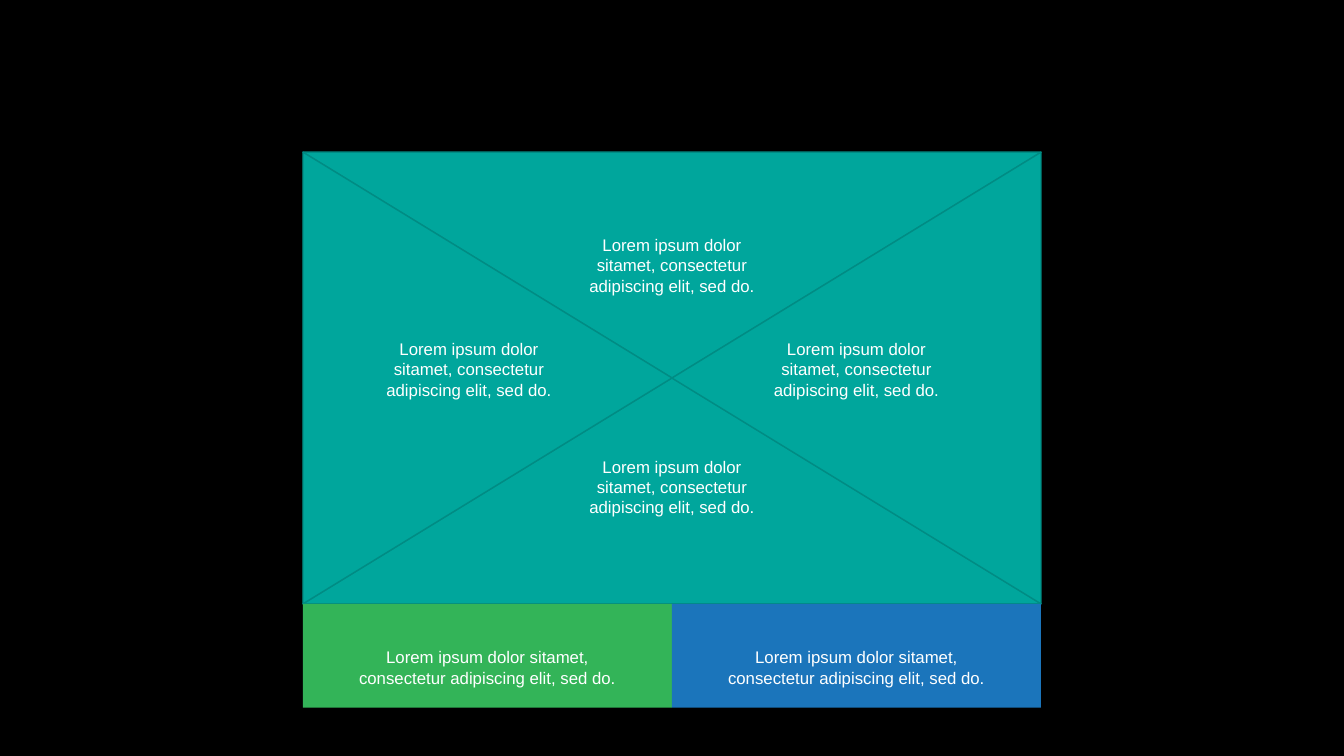
from pptx import Presentation
from pptx.dml.color import RGBColor
from pptx.enum.shapes import MSO_SHAPE
from pptx.enum.text import MSO_AUTO_SIZE, PP_ALIGN
from pptx.util import Inches, Pt

COLORS = {
    "background": "000000",
    "envelope": "00A69C",
    "fold": "008C84",
    "green": "33B458",
    "blue": "1B75BB",
    "text": "FFFFFF",
}
LOREM = "Lorem ipsum dolor sitamet, consectetur adipiscing elit, sed do."

# The envelope is two columns by two rows around the slide's centre.
COLUMN, ROW = 3.66, 2.24
SLIDE_WIDTH, SLIDE_HEIGHT = 13.33, 7.5

# Direction from the centre as (columns, rows), and turn in degrees
FLAPS = [((0, 0.5), 0), ((0, -0.5), 180), ((0.5, 0), 270), ((-0.5, 0), 90)]
FLAP_LABELS = [(0, -0.51), (0, 0.47), (0.5, -0.05), (-0.55, -0.05)]
BARS = [(-0.5, "green"), (0.5, "blue")]


class EnvelopeSlide:
    """Places elements by their centre, in columns and rows from mid-slide."""

    def __init__(self, deck):
        self.page = deck.slides.add_slide(deck.slide_layouts[6])
        self.font, self.size = "Arial", Pt(12)
        backdrop = self.page.background.fill
        backdrop.solid()
        backdrop.fore_color.rgb = self.color("background")

    def color(self, name):
        return RGBColor.from_string(COLORS[name])

    def frame(self, center, width, height):
        """Turn a centre in grid units and a size in inches into a box."""
        column, row = center
        left = SLIDE_WIDTH / 2 + column * COLUMN - width / 2
        top = SLIDE_HEIGHT / 2 + row * ROW - height / 2
        return [Inches(length) for length in (left, top, width, height)]

    def shape(self, kind, frame, fill):
        shape = self.page.shapes.add_shape(kind, *frame)
        shape.shadow.inherit = False
        shape.fill.solid()
        shape.fill.fore_color.rgb = self.color(fill)
        shape.line.fill.background()
        return shape

    def flap(self, center, turn):
        size = (2 * COLUMN, ROW) if turn % 180 == 0 else (2 * ROW, COLUMN)
        flap = self.shape(MSO_SHAPE.ISOSCELES_TRIANGLE, self.frame(center, *size), "envelope")
        flap.rotation = turn
        flap.line.color.rgb = self.color("fold")
        flap.line.width = Pt(1)

    def bar(self, column, fill):
        self.shape(MSO_SHAPE.RECTANGLE, self.frame((column, 1.23), COLUMN, 0.46 * ROW), fill)

    def label(self, center, columns, rows):
        box = self.page.shapes.add_textbox(*self.frame(center, columns * COLUMN, rows * ROW))
        box.text_frame.word_wrap = True
        box.text_frame.auto_size = MSO_AUTO_SIZE.SHAPE_TO_FIT_TEXT
        para = box.text_frame.paragraphs[0]
        para.alignment = PP_ALIGN.CENTER
        span = para.add_run()
        span.text = LOREM
        span.font.name, span.font.size = self.font, self.size
        span.font.color.rgb = self.color("text")


def main():
    deck = Presentation()
    deck.slide_width, deck.slide_height = Inches(SLIDE_WIDTH), Inches(SLIDE_HEIGHT)
    slide = EnvelopeSlide(deck)
    for center, turn in FLAPS:
        slide.flap(center, turn)
    for center in FLAP_LABELS:
        slide.label(center, columns=0.51, rows=0.29)
    for column, fill in BARS:
        slide.bar(column, fill)
    for column, _ in BARS:
        slide.label((column, 1.28), columns=0.75, rows=0.22)
    deck.save("out.pptx")


if __name__ == "__main__":
    main()
